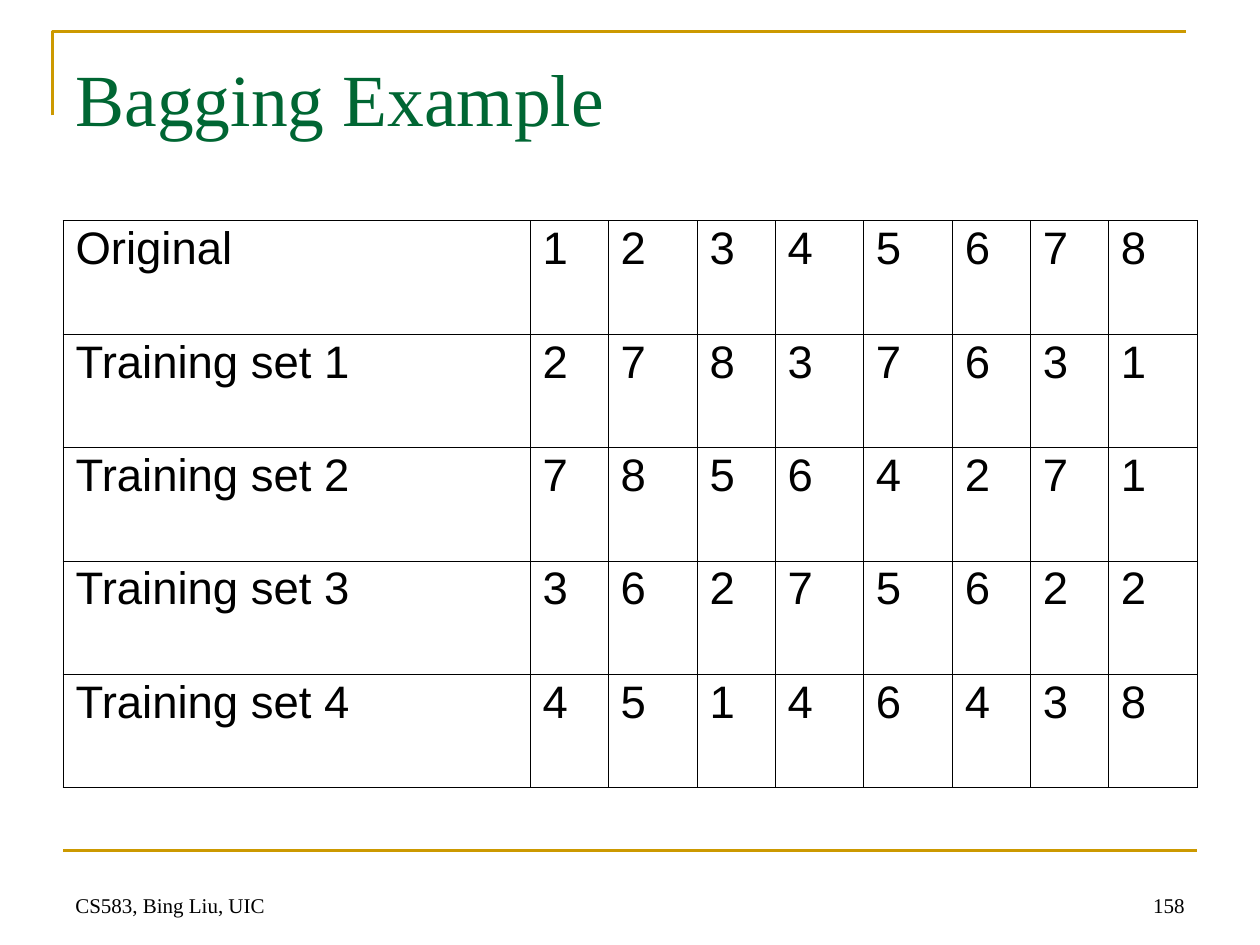
"""Build the slide with the bagging example table."""
from dataclasses import dataclass

from lxml import etree
from pptx import Presentation
from pptx.dml.color import RGBColor
from pptx.enum import text as t
from pptx.oxml import ns
from pptx.util import Pt

GOLD, GREEN, BLACK = "CC9900", "006633", "000000"
SERIF, SANS = "Times New Roman", "Arial"
LEFT, WIDE = 36, 648
COLS = [266.9, 44.6, 50.8, 44.6, 50.4, 50.9, 44.6, 44.6, 50.8]
HIGH = 64.8
ROWS = [
    ("Original", "12345678"),
    ("Training set 1", "27837631"),
    ("Training set 2", "78564271"),
    ("Training set 3", "36275622"),
    ("Training set 4", "45146438"),
]


@dataclass
class Note:
    text: str
    left: float
    width: float
    align: t.PP_ALIGN


NOTES = [
    Note("CS583, Bing Liu, UIC", LEFT, 438, t.PP_ALIGN.LEFT),
    Note("158", 516, 168, t.PP_ALIGN.RIGHT),
]


def paint(font, code: str) -> None:
    """Set a solid colour on a font or a line."""
    fill = font.color if hasattr(font, "color") else font.fill
    fill.rgb = RGBColor.from_string(code)


def write(para, words: str, size: float, face: str, code: str) -> None:
    """Add one formatted run to a paragraph."""
    run = para.add_run()
    run.text = words
    run.font.size = Pt(size)
    run.font.name = face
    paint(run.font, code)


def place(shape, left: float, top: float, width: float, height: float) -> None:
    """Move and size a shape."""
    shape.left, shape.top = Pt(left), Pt(top)
    shape.width, shape.height = Pt(width), Pt(height)


def head(slide) -> None:
    """Fill the title placeholder."""
    title = slide.shapes.title
    place(title, LEFT, 21.6, WIDE, 75)
    frame = title.text_frame
    frame.auto_size = t.MSO_AUTO_SIZE.NONE
    frame.vertical_anchor = t.MSO_ANCHOR.TOP
    frame.margin_top = Pt(8.6)
    para = frame.paragraphs[0]
    para.alignment = t.PP_ALIGN.LEFT
    write(para, "Bagging Example", 42, SERIF, GREEN)


def rules(slide) -> None:
    """Draw the corner rule and the footer rule."""
    pen = slide.shapes.build_freeform(Pt(30), Pt(66))
    pen.add_line_segments([(Pt(30), Pt(18)), (Pt(678), Pt(18))], close=False)
    corner = pen.convert_to_shape()
    corner.fill.background()
    corner.shadow.inherit = False
    base = slide.shapes.add_connector(1, Pt(LEFT), Pt(486), Pt(LEFT + WIDE), Pt(486))
    etree.SubElement(base._element.spPr, ns.qn("a:effectLst"))
    for shape in (corner, base):
        paint(shape.line, GOLD)
        shape.line.width = Pt(1.5)


def label(slide, note: Note) -> None:
    """Add one footer text."""
    box = slide.shapes.add_textbox(Pt(note.left), Pt(492), Pt(note.width), Pt(36))
    frame = box.text_frame
    frame.word_wrap = True
    frame.vertical_anchor = t.MSO_ANCHOR.BOTTOM
    para = frame.paragraphs[0]
    para.alignment = note.align
    write(para, note.text, 12, SERIF, BLACK)


def edge(cell, side: str, width: float) -> None:
    """Add one border to a cell."""
    props = cell._tc.get_or_add_tcPr()
    line = etree.SubElement(props, ns.qn(f"a:ln{side}"), w=str(Pt(width)))
    fill = etree.SubElement(line, ns.qn("a:solidFill"))
    etree.SubElement(fill, ns.qn("a:srgbClr"), val=BLACK)


def grid(slide) -> None:
    """Add the table of training sets."""
    rows, cols = len(ROWS), len(COLS)
    frame = slide.shapes.add_table(
        rows, cols, Pt(LEFT), Pt(126), Pt(sum(COLS)), Pt(rows * HIGH))
    table = frame.table
    table.first_row = table.horz_banding = False
    for col, width in zip(table.columns, COLS):
        col.width = Pt(width)
    for i, (name, picks) in enumerate(ROWS):
        table.rows[i].height = Pt(HIGH)
        for j, words in enumerate([name, *picks]):
            cell = table.cell(i, j)
            outer = {"L": j == 0, "R": j == cols - 1, "T": i == 0, "B": i == rows - 1}
            for side, rim in outer.items():
                edge(cell, side, 0.5 if rim else 0.23)
            cell.fill.background()
            para = cell.text_frame.paragraphs[0]
            para.line_spacing = 0.93
            write(para, words, 26, SANS, BLACK)


def main() -> None:
    """Build and save the slide."""
    deck = Presentation()
    deck.slide_width, deck.slide_height = Pt(720), Pt(540)
    slide = deck.slides.add_slide(deck.slide_layouts[5])
    rules(slide)
    for note in NOTES:
        label(slide, note)
    head(slide)
    grid(slide)
    deck.save("out.pptx")


if __name__ == "__main__":
    main()
